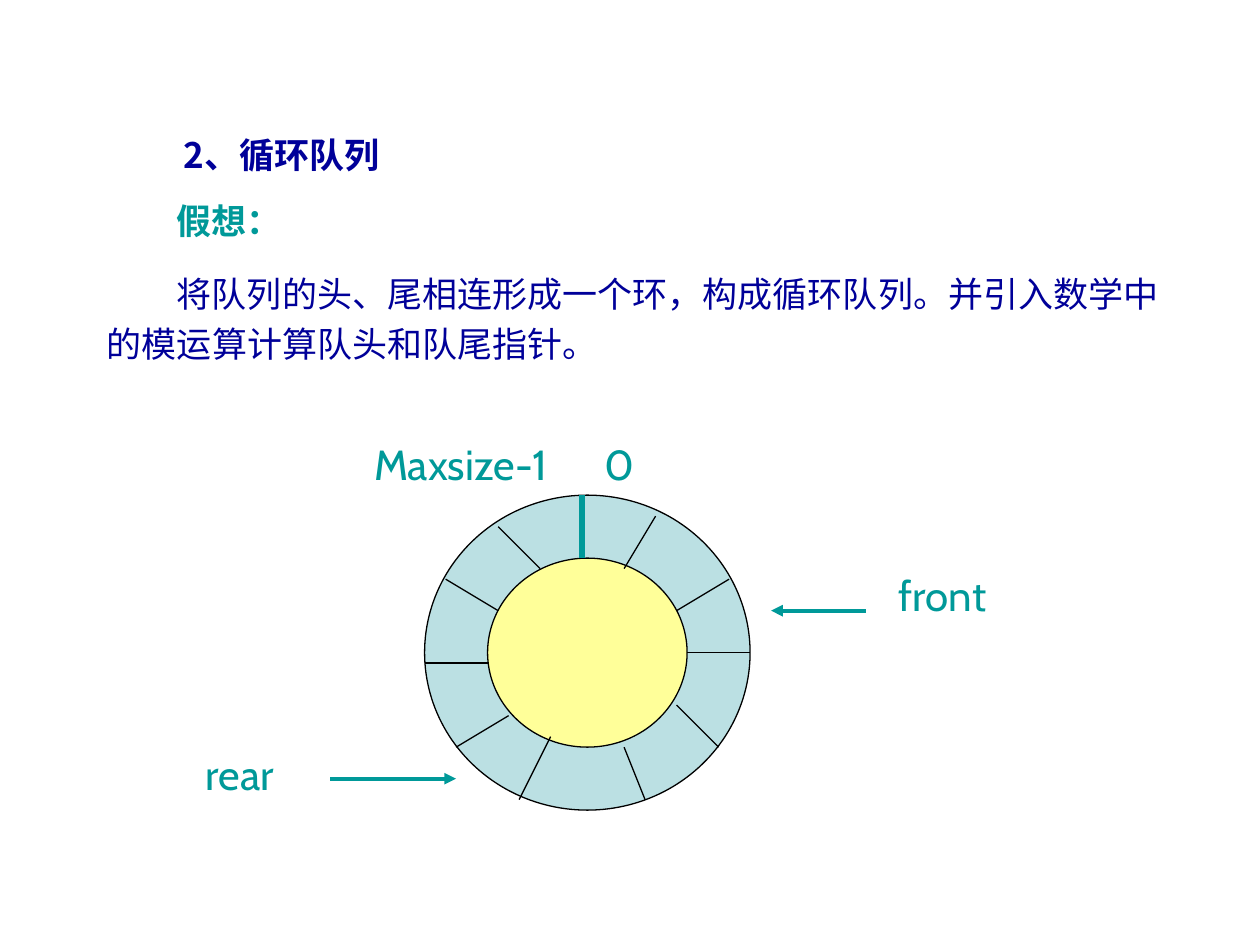
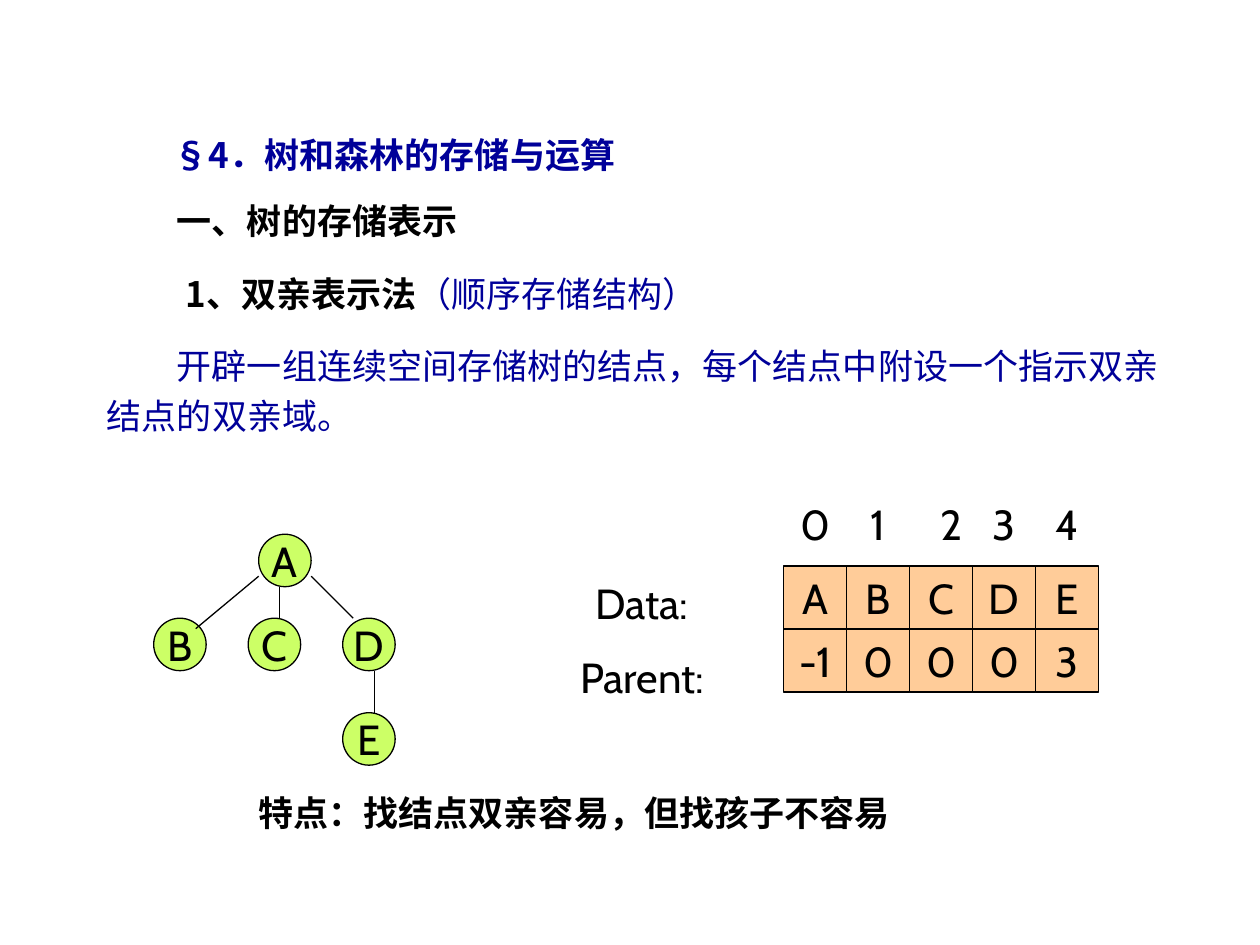
from dataclasses import dataclass

from lxml import etree
from pptx import Presentation
from pptx.dml.color import RGBColor
from pptx.enum.shapes import MSO_CONNECTOR, MSO_SHAPE
from pptx.enum.text import MSO_ANCHOR, MSO_AUTO_SIZE, PP_ALIGN
from pptx.oxml.ns import qn
from pptx.util import Inches, Pt

LEFT, CENTER = PP_ALIGN.LEFT, PP_ALIGN.CENTER
MIDDLE, TOP = MSO_ANCHOR.MIDDLE, MSO_ANCHOR.TOP
GROW = MSO_AUTO_SIZE.SHAPE_TO_FIT_TEXT
STRAIGHT = MSO_CONNECTOR.STRAIGHT
OVAL, RECTANGLE = MSO_SHAPE.OVAL, MSO_SHAPE.RECTANGLE
TITLE_ONLY = 5
NO_MARGINS = dict(margin_left=0, margin_right=0, margin_top=0, margin_bottom=0)


@dataclass(frozen=True)
class Theme:
    """Colours, fonts and sizes shared by both slides."""
    navy: str = "000099"
    teal: str = "009999"
    black: str = "000000"
    white: str = "FFFFFF"
    ring: str = "BBE0E3"
    core: str = "FFFF99"
    node: str = "CCFF66"
    cell: str = "FFCC99"
    latin: str = "Cabin"
    chinese: str = "Noto Sans CJK SC"
    text: int = 20
    label: int = 24
    hairline: float = 0.75
    arrow: float = 2.25
    bar: float = 3
    gap: float = 12.5
    indent: int = 40
    number_indent: int = 45


THEME = Theme()


@dataclass(frozen=True)
class Grid:
    """A region of a slide, measured in twelfths of an inch from its corner."""
    left: float
    top: float

    def point(self, column, row):
        """Return the slide position of a grid point."""
        return Inches(self.left + column / 12), Inches(self.top + row / 12)

    def area(self, column, row, columns, rows):
        """Return left, top, width and height of a block of the grid."""
        return *self.point(column, row), Inches(columns / 12), Inches(rows / 12)


def apply(target, **values):
    """Set several attributes of one object."""
    for name, value in values.items():
        setattr(target, name, value)


def add_span(para, text, color, size, bold=False, font=THEME.latin):
    """Append a run with its Latin and East Asian fonts."""
    span = para.add_run()
    span.text = text
    apply(span.font, name=font, size=Pt(size), bold=bold)
    span.font.color.rgb = RGBColor.from_string(color)
    etree.SubElement(span.font._element, qn("a:ea"), typeface=THEME.chinese)


def write(frame, text, color, size=THEME.label, align=CENTER, bold=False, **settings):
    """Fill a text frame with one formatted paragraph."""
    apply(frame, word_wrap=False, vertical_anchor=MIDDLE)
    apply(frame, **settings)
    para = frame.paragraphs[0]
    para.alignment = align
    add_span(para, text, color, size, bold)


def add_label(page, area, text, color, **settings):
    """Place a single-line text box."""
    frame = page.shapes.add_textbox(*area).text_frame
    write(frame, text, color, word_wrap=True, **settings)


def add_figure(page, kind, area, fill, outline=THEME.black):
    """Draw an outlined preset shape."""
    figure = page.shapes.add_shape(kind, *area)
    figure.shadow.inherit = False
    figure.fill.solid()
    figure.fill.fore_color.rgb = RGBColor.from_string(fill)
    figure.line.color.rgb = RGBColor.from_string(outline)
    figure.line.width = Pt(THEME.hairline)
    return figure


def add_line(page, grid, ends, color=THEME.black, width=THEME.hairline, arrow=False):
    """Draw a straight line between two grid points."""
    start, end = ends
    line = page.shapes.add_connector(STRAIGHT, *grid.point(*start), *grid.point(*end))
    line.line.color.rgb = RGBColor.from_string(color)
    line.line.width = Pt(width)
    if arrow:
        etree.SubElement(line.line._get_or_add_ln(), qn("a:tailEnd"), type="triangle")
    etree.SubElement(line._element.spPr, qn("a:effectLst"))


def add_heading(page, text, left, width):
    """Move and format the title placeholder."""
    title = page.shapes.title
    apply(title, left=Inches(left), top=Inches(0.91), width=Inches(width), height=Inches(0.53))
    frame = title.text_frame
    apply(frame, word_wrap=True, vertical_anchor=MIDDLE, auto_size=GROW)
    para = frame.paragraphs[0]
    apply(para, alignment=LEFT, line_spacing=1.3, space_before=Pt(0))
    add_span(para, text, THEME.navy, THEME.text, True, THEME.chinese)


def add_body(page, height, paragraphs):
    """Write paragraphs of an indent and (text, colour, bold) runs."""
    box = page.shapes.add_textbox(Inches(0.75), Inches(1.47), Inches(8.61), Inches(height))
    frame = box.text_frame
    apply(frame, word_wrap=True, vertical_anchor=TOP)
    for number, (indent, *spans) in enumerate(paragraphs):
        para = frame.add_paragraph() if number else frame.paragraphs[0]
        apply(para, line_spacing=1.2, space_before=Pt(THEME.gap if number else 0))
        para._p.get_or_add_pPr().set("indent", str(Pt(indent)))
        for text, color, bold in spans:
            add_span(para, text, color, THEME.text, bold, THEME.chinese)


def add_ring(page, grid):
    """Draw the circular queue with its slots, pointers and labels."""
    add_figure(page, OVAL, grid.area(0, 0, 31, 30), THEME.ring)
    add_figure(page, OVAL, grid.area(6, 6, 19, 18), THEME.core)
    dividers = [
        ((22, 2), (19, 7)), ((24, 11), (29, 8)), ((25, 15), (31, 15)),
        ((24, 20), (28, 24)), ((19, 24), (21, 29)), ((12, 23), (9, 29)),
        ((8, 21), (3, 24)), ((0, 16), (6, 16)), ((2, 8), (7, 11)), ((7, 3), (11, 7)),
    ]
    for ends in dividers:
        add_line(page, grid, ends)
    add_line(page, grid, ((15, 0), (15, 6)), THEME.teal, THEME.bar)
    for pointer in (((42, 11), (33, 11)), ((-9, 27), (3, 27))):
        add_line(page, grid, pointer, THEME.teal, THEME.arrow, arrow=True)
    labels = {
        "front": (44, 6, 12, 7), "rear": (-22, 23, 12, 7), "Maxsize-1": (-6, -6, 20, 6),
    }
    for text, block in labels.items():
        add_label(page, grid.area(*block), text, THEME.teal, align=LEFT)
    first = add_figure(page, RECTANGLE, grid.area(16, -5, 6, 4), THEME.white, THEME.white)
    write(first.text_frame, "0", THEME.teal, align=LEFT)


def add_tree(page, grid):
    """Draw the tree of lettered nodes and its branches."""
    nodes = {"A": (10, 0), "B": (0, 8), "C": (9, 8), "D": (18, 8), "E": (18, 17)}
    for letter, corner in nodes.items():
        circle = add_figure(page, OVAL, grid.area(*corner, 5, 5), THEME.node)
        write(circle.text_frame, letter, THEME.black, **NO_MARGINS)
    branches = [
        ((10, 4), (4, 9)), ((12, 5), (12, 8)), ((15, 4), (19, 8)), ((21, 13), (21, 17)),
    ]
    for ends in branches:
        add_line(page, grid, ends)


def add_parent_array(page, grid):
    """Draw the array of memory cells with its row names and indices."""
    rows = {"Data:": ["A", "B", "C", "D", "E"], "Parent:": ["-1", "0", "0", "0", "3"]}
    for row, (name, values) in enumerate(rows.items()):
        add_label(page, grid.area(0, 8 + 7 * row, 15, 5), name, THEME.black)
        for column, value in enumerate(values):
            area = grid.area(21 + 6 * column, 7 + 6 * row, 6, 6)
            cell = add_figure(page, RECTANGLE, area, THEME.cell)
            write(cell.text_frame, value, THEME.black)
    for index, column in enumerate((21, 27, 34, 39, 45)):
        area = grid.area(column, 0, 6, 6)
        mark = add_figure(page, RECTANGLE, area, THEME.white, THEME.white)
        write(mark.text_frame, str(index), THEME.black)


def build_queue_slide(page):
    """Lay out the circular queue slide."""
    add_heading(page, "2、循环队列", 1.36, 4.9)
    add_body(page, 1.57, [
        (THEME.indent, ("假想：", THEME.teal, True)),
        (THEME.indent,
         ("将队列的头、尾相连形成一个环，构成循环队列。并引入数学中的模运算计算队头和队尾指针。",
          THEME.navy, False)),
    ])
    add_ring(page, Grid(3.37, 3.93))


def build_tree_slide(page):
    """Lay out the tree storage slide."""
    add_heading(page, "§4．树和森林的存储与运算", 1.28, 5.3)
    add_body(page, 2.18, [
        (THEME.indent, ("一、树的存储表示", THEME.black, True)),
        (THEME.number_indent, ("1、双亲表示法", THEME.black, True),
         ("（顺序存储结构）", THEME.navy, False)),
        (THEME.indent,
         ("开辟一组连续空间存储树的结点，每个结点中附设一个指示双亲结点的双亲域。",
          THEME.navy, False)),
    ])
    add_tree(page, Grid(1.22, 4.24))
    add_parent_array(page, Grid(4.47, 3.91))
    add_label(page, Grid(1.39, 6.16).area(0, 0, 76, 7),
              "特点：找结点双亲容易，但找孩子不容易", THEME.black, size=THEME.text, bold=True)


def main():
    """Build and save the deck."""
    deck = Presentation()
    apply(deck, slide_width=Inches(10), slide_height=Inches(7.5))
    for build in (build_queue_slide, build_tree_slide):
        build(deck.slides.add_slide(deck.slide_layouts[TITLE_ONLY]))
    deck.save("out.pptx")


if __name__ == "__main__":
    main()
